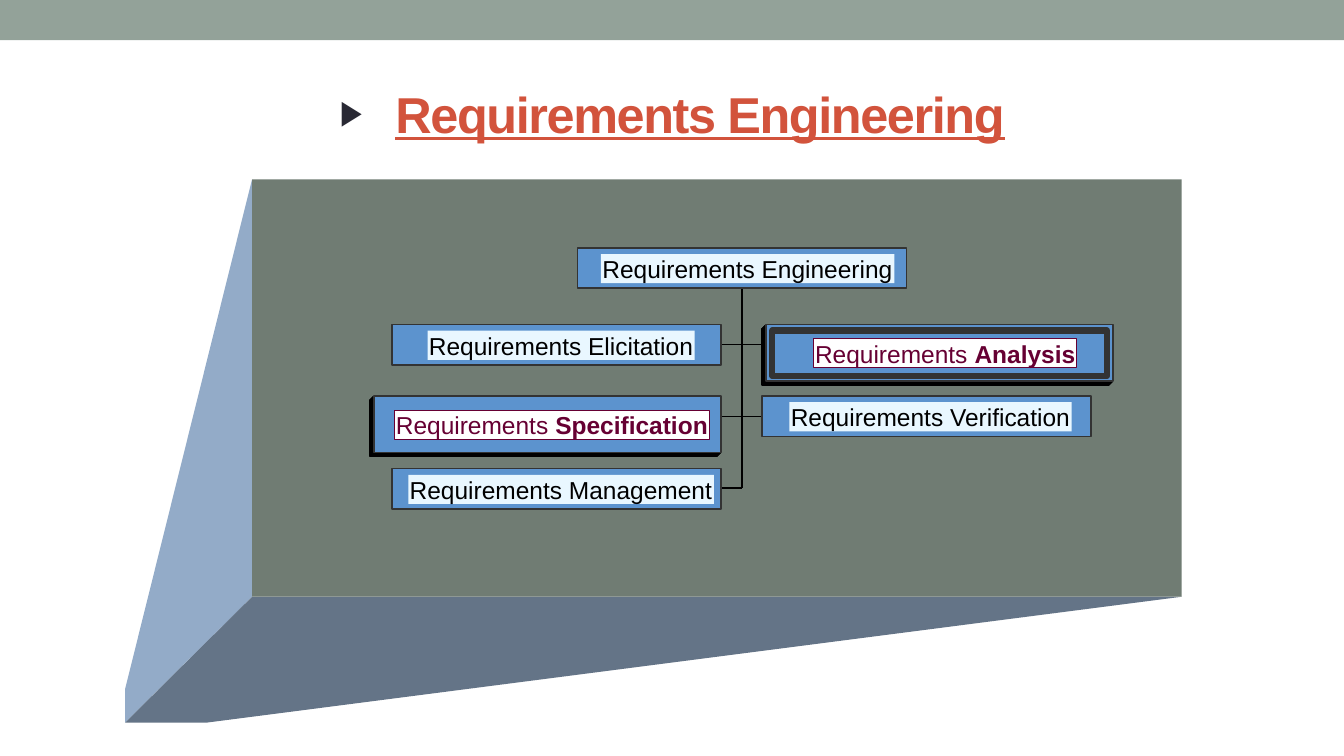
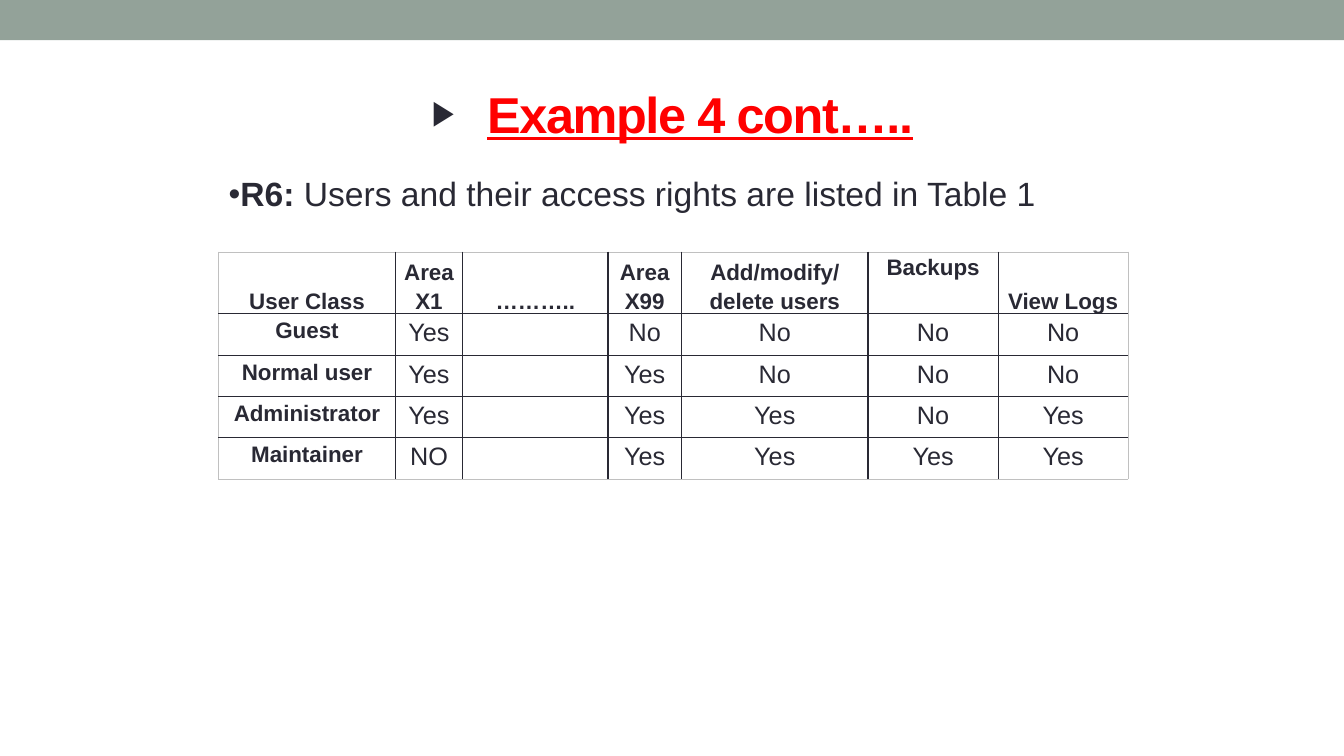
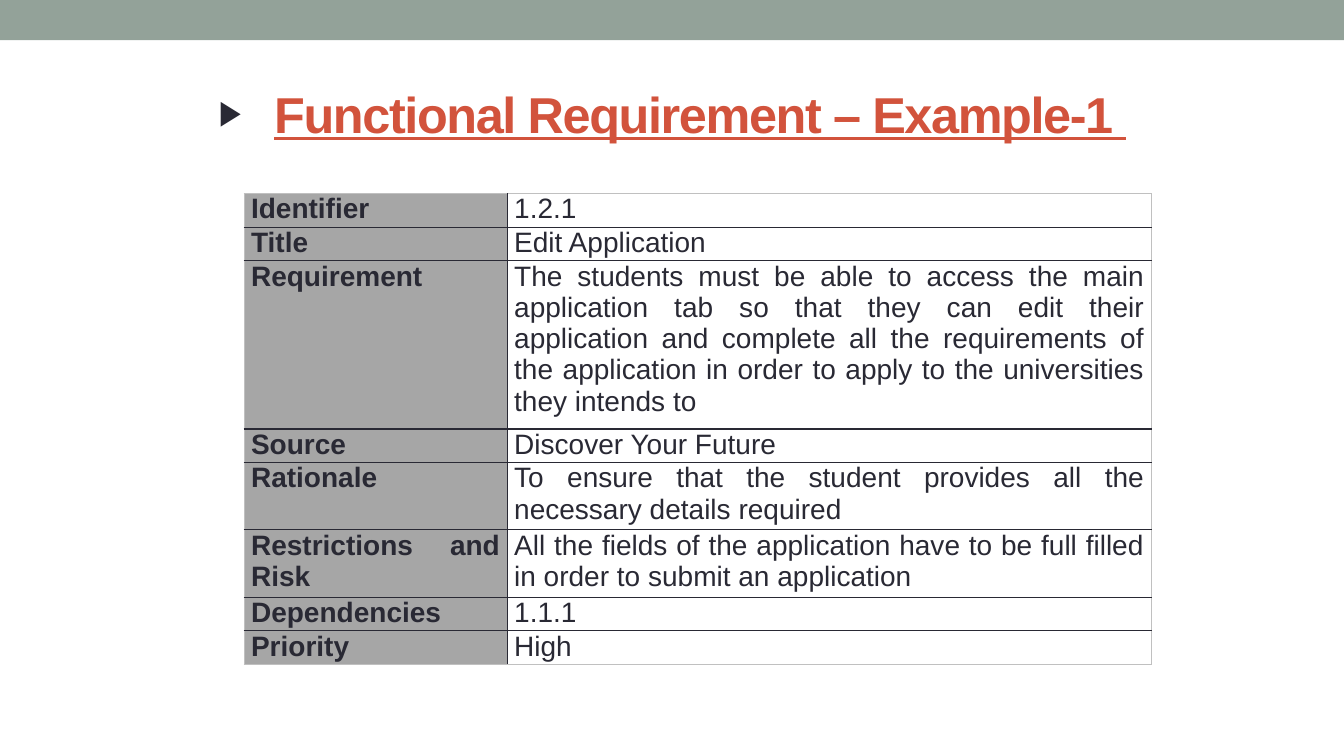
from pptx import Presentation
from pptx.dml.color import RGBColor
from pptx.enum.shapes import MSO_CONNECTOR as Conn, MSO_SHAPE as Kind
from pptx.enum.text import MSO_ANCHOR as Anchor, PP_ALIGN as Align
from pptx.oxml import parse_xml
from pptx.oxml.ns import nsdecls
from pptx.util import Inches, Pt

# Shared look
WIDE, HIGH = 13.33, 7.5
INK, RUST, RED, SAGE = "292934", "D2533C", "FF0000", "93A299"
BLUE, PALE, WINE, DARK = "5C93CE", "E9F7FF", "660033", "333333"
BLACK, WHITE, GREY, EDGE = "000000", "FFFFFF", "A6A6A6", "C0C0C0"
HEAD = dict(size=Pt(36), bold=True, underline=True)

# Slide 1: faces of the block, then tree nodes
FRONT = (2.5, 1.78, 9.22, 4.14)
FACES = [
    ("93ABC8", [(2.5, 1.78), (2.5, 5.92), (1.24, 7.17), (1.24, 6.84)]),
    ("647487", [(2.5, 5.92), (11.72, 5.92), (2.04, 7.17), (1.24, 7.17)]),
]
SPINE, TOP, STEP = 7.36, 3.42, 0.71
# last word, key node?, left, top, label left, label width
NODES = [
    ("Elicitation", False, 3.89, 3.22, 4.24, 2.65),
    ("Analysis", True, 7.6, 3.22, 8.07, 2.61),
    ("Specification", True, 3.71, 3.93, 3.91, 3.13),
    ("Verification", False, 7.56, 3.93, 7.83, 2.8),
    ("Management", False, 3.89, 4.65, 4.05, 3.03),
    ("Engineering", False, 5.73, 2.46, 5.96, 2.91),
]

# Slide 2: access rights
RIGHTS = [
    ["User Class", "Area\nX1", "………..", "Area\nX99",
     "Add/modify/ delete users", "Backups", "View Logs"],
    ["Guest", "Yes", "", "No", "No", "No", "No"],
    ["Normal user", "Yes", "", "Yes", "No", "No", "No"],
    ["Administrator", "Yes", "", "Yes", "Yes", "No", "Yes"],
    ["Maintainer", "NO", "", "Yes", "Yes", "Yes", "Yes"],
]
R_COLS = [1.75, 0.67, 1.44, 0.73, 1.85, 1.29, 1.29]
R_ROWS = [0.6] + [0.41] * 4

# Slide 3: one requirement
FIELDS = [
    ("Identifier", "1.2.1"),
    ("Title", "Edit Application"),
    ("Requirement", "The students must be able to access the main application "
     "tab so that they can edit their application and complete all the "
     "requirements of the application in order to apply to the universities "
     "they intends to"),
    ("Source", "Discover Your Future"),
    ("Rationale", "To ensure that the student provides all the necessary "
     "details required"),
    ("Restrictions and Risk", "All the fields of the application have to be "
     "full filled in order to submit an application"),
    ("Dependencies", "1.1.1"),
    ("Priority", "High"),
]
F_COLS = [2.61, 6.39]
F_ROWS = [0.33, 0.33, 1.55, 0.33, 0.66, 0.66, 0.33, 0.33]


def rgb(tone):
    return RGBColor.from_string(tone)


def assign(item, **vals):
    for name, val in vals.items():
        setattr(item, name, val)


def paint(shape, fill=None, line=None, width=1.13):
    shape.shadow.inherit = False
    if fill:
        shape.fill.solid()
        shape.fill.fore_color.rgb = rgb(fill)
    else:
        shape.fill.background()
    if line:
        shape.line.color.rgb = rgb(line)
        shape.line.width = Pt(width)
    else:
        shape.line.fill.background()
    return shape


def box(slide, at, *look):
    spot = map(Inches, at)
    return paint(slide.shapes.add_shape(Kind.RECTANGLE, *spot), *look)


def link(slide, *ends):
    line = slide.shapes.add_connector(Conn.STRAIGHT, *map(Inches, ends))
    line.line.color.rgb = rgb(BLACK)
    line.line.width = Pt(1.13)
    line._element.spPr.append(parse_xml(f"<a:effectLst {nsdecls('a')}/>"))


def write(para, text, tone=INK, **vals):
    run = para.add_run()
    run.text = text
    assign(run.font, name="Arial", **vals)
    run.font.color.rgb = rgb(tone)
    return run


def bullet(para, sign, tone, share, left):
    props = para._p.get_or_add_pPr()
    props.set("marL", str(Inches(left)))
    props.set("indent", str(-Inches(left)))
    for tag in (f'<a:buClr {nsdecls("a")}><a:srgbClr val="{tone}"/></a:buClr>',
                f'<a:buSzPct {nsdecls("a")} val="{share * 1000}"/>',
                f'<a:buFont {nsdecls("a")} typeface="Arial"/>',
                f'<a:buChar {nsdecls("a")} char="{sign}"/>'):
        props.append(parse_xml(tag))


def textbox(slide, *at):
    frame = slide.shapes.add_textbox(*map(Inches, at)).text_frame
    assign(frame, word_wrap=True, vertical_anchor=Anchor.MIDDLE)
    return frame.paragraphs[0]


def start(deck, title, tone=RUST):
    slide = deck.slides.add_slide(deck.slide_layouts[6])
    box(slide, (0, 0, WIDE, 0.4), SAGE)
    para = textbox(slide, 0.67, 0.58, 12, 1.08)
    assign(para, alignment=Align.CENTER, space_before=Pt(5))
    bullet(para, "▶", INK, 68, 0.55)
    run = write(para, title, tone, **HEAD)
    run.font._element.set("spc", "-100")
    return slide


def border(cell, outer):
    props = cell._tc.get_or_add_tcPr()
    for spot, side in enumerate("LRTB"):
        tone, width = (EDGE, 0.5) if side in outer else (INK, 1)
        props.insert(spot, parse_xml(
            f'<a:ln{side} {nsdecls("a")} w="{Pt(width)}"><a:solidFill>'
            f'<a:srgbClr val="{tone}"/></a:solidFill></a:ln{side}>'))


def grid(slide, left, top, cols, rows, data, style):
    """style(row, col) gives cell, paragraph and font values, and a fill."""
    size = len(rows), len(cols)
    table = slide.shapes.add_table(
        *size, *map(Inches, (left, top, sum(cols), sum(rows)))).table
    assign(table, first_row=False, horz_banding=False)
    for col, width in zip(table.columns, cols):
        col.width = Inches(width)
    for row, height in zip(table.rows, rows):
        row.height = Inches(height)
    for r, line in enumerate(data):
        for c, text in enumerate(line):
            cell = table.cell(r, c)
            room, flow, font, fill = style(r, c)
            assign(cell, **room)
            if fill:
                cell.fill.solid()
                cell.fill.fore_color.rgb = rgb(fill)
            else:
                cell.fill.background()
            ends = dict(L=c == 0, R=c == size[1] - 1,
                        T=r == 0, B=r == size[0] - 1)
            border(cell, [side for side, last in ends.items() if last])
            frame = cell.text_frame
            for n, part in enumerate(text.split("\n")):
                para = frame.add_paragraph() if n else frame.paragraphs[0]
                assign(para, **flow)
                if part:
                    write(para, part, **font)


def margins(side):
    return dict(margin_left=Inches(side), margin_right=Inches(side),
                margin_top=0, margin_bottom=0)


def rights(r, c):
    flow = dict(alignment=Align.CENTER)
    label = r == 0 or c == 0
    font = dict(size=Pt(16 if label else 18), bold=label)
    if r:
        return {}, flow, font, None
    anchor = Anchor.TOP if RIGHTS[r][c] == "Backups" else Anchor.BOTTOM
    room = dict(margins(0), vertical_anchor=anchor)
    return room, dict(flow, line_spacing=1.15), font, None


def fields(r, c):
    return (margins(0.07), dict(alignment=Align.JUSTIFY),
            dict(size=Pt(20), bold=c == 0), None if c else GREY)


def node(slide, word, key, left, top, start_x, width):
    at = (left, top, *((3.44, 0.56) if key else (3.26, 0.4)))
    box(slide, at, BLUE, DARK)
    if word == "Analysis":
        box(slide, (left + 0.06, top + 0.06, 3.32, 0.45), None, DARK, 4.5)
    spot = (start_x, top + (0.14 if key else 0.06), width, 0.29)
    look = (WHITE, WINE, 0.75) if key else (PALE,)
    frame = box(slide, spot, *look).text_frame
    assign(frame, word_wrap=False, vertical_anchor=Anchor.MIDDLE, **margins(0))
    para = frame.paragraphs[0]
    para.alignment = Align.CENTER
    tone = WINE if key else BLACK
    write(para, "Requirements ", tone, size=Pt(17.5))
    write(para, word, tone, size=Pt(17.5), bold=key)


def tree(deck):
    slide = start(deck, "Requirements Engineering")
    for tone, (first, *rest) in FACES:
        build = slide.shapes.build_freeform(*map(Inches, first), scale=1.0)
        build.add_line_segments([tuple(map(Inches, p)) for p in rest])
        paint(build.convert_to_shape(), tone)
    box(slide, FRONT, "707C73")
    # Stacked outlines behind the key nodes
    for _, key, left, top, *_ in NODES:
        for n in range(4 if key else 0):
            off = (4 - n) / 100
            box(slide, (left - off, top + off, 3.44, 0.56), None, BLACK)
    # Spine and branches
    link(slide, SPINE, 2.86, SPINE, TOP + 2 * STEP)
    for n, end in enumerate((7.6, 7.56, SPINE)):
        link(slide, 7.15, TOP + n * STEP, end, TOP + n * STEP)
    for item in NODES:
        node(slide, *item)


def main():
    deck = Presentation()
    assign(deck, slide_width=Inches(WIDE), slide_height=Inches(HIGH))
    tree(deck)

    slide = start(deck, "Example 4 cont…..", RED)
    grid(slide, 2.17, 2.5, R_COLS, R_ROWS, RIGHTS, rights)
    para = textbox(slide, 2.17, 1.67, 9, 0.5)
    bullet(para, "•", INK, 100, 0)
    write(para, "R6: ", size=Pt(24), bold=True)
    write(para, "Users and their access rights are listed in Table 1",
          size=Pt(24))

    slide = start(deck, "Functional Requirement – Example-1 ")
    grid(slide, 2.42, 1.92, F_COLS, F_ROWS, FIELDS, fields)
    deck.save("out.pptx")


if __name__ == "__main__":
    main()
